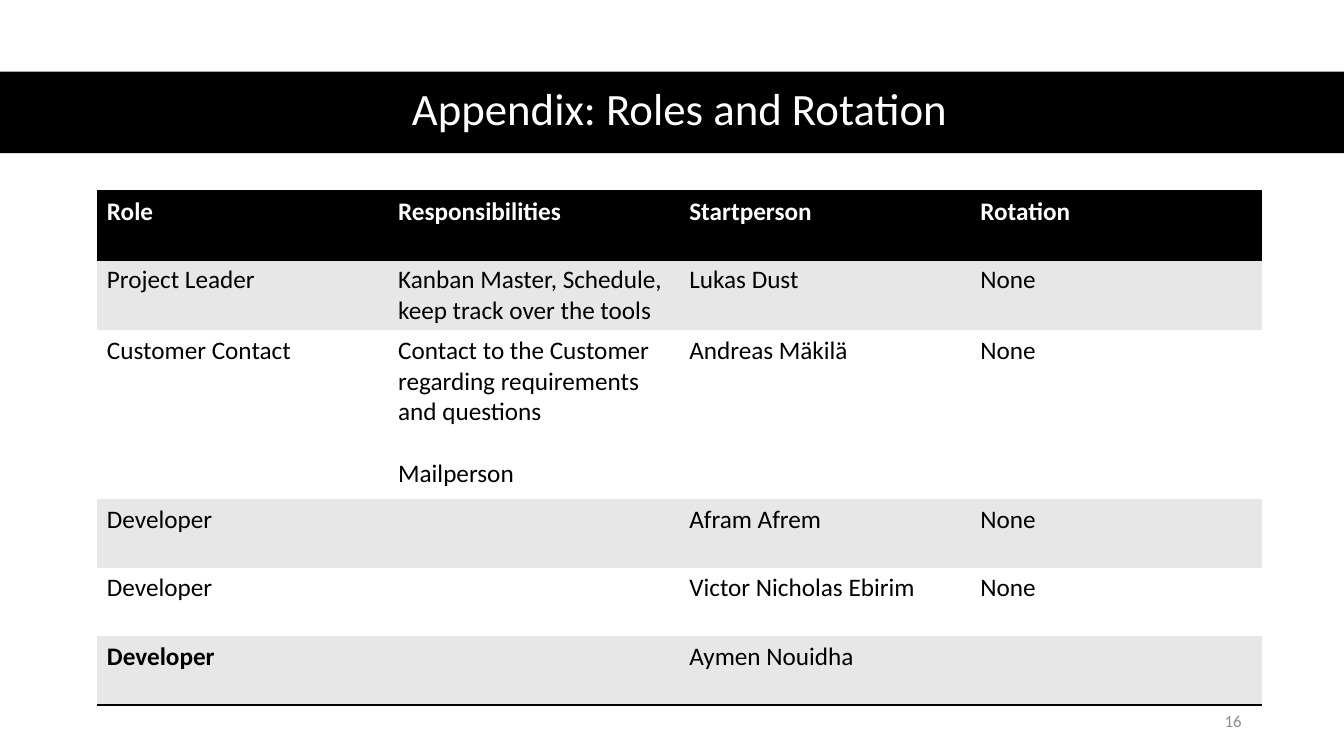
"""Build the roles and rotation appendix slide."""
from lxml import etree
from pptx import Presentation
from pptx import util as u
from pptx.dml.color import RGBColor
from pptx.enum import shapes, text
from pptx.oxml import ns

COLORS = {"black": "000000", "white": "FFFFFF", "stripe": "E7E7E7", "grey": "8C8C8C"}
COLS, ROWS = 96, 54
HEADER = ["Role", "Responsibilities", "Startperson", "Rotation"]
ROLES = [
    ["Project Leader", "Kanban Master, Schedule, keep track over the tools", "Lukas Dust", "None"],
    ["Customer Contact",
     "Contact to the Customer regarding requirements and questions\nMailperson",
     "Andreas Mäkilä", "None"],
    ["Developer", "", "Afram Afrem", "None"],
    ["Developer", "", "Victor Nicholas Ebirim", "None"],
    ["Developer", "", "Aymen Nouidha", ""],
]
ROW_HEIGHTS = [4.9, 4.9, 12.05, 4.9, 4.9, 4.9]


def color(name):
    return RGBColor.from_string(COLORS[name])


def write(tf, content, size=18, fill="black", bold=False, align=text.PP_ALIGN.LEFT,
          leading=None, gap=0):
    tf.word_wrap = True
    for i, line in enumerate(content.split("\n")):
        p = tf.add_paragraph() if i else tf.paragraphs[0]
        p.alignment, p.line_spacing = align, leading
        if i:
            p.space_before = u.Pt(gap)
        p.font.size = u.Pt(size)
        if line:
            r = p.add_run()
            r.text = line
            r.font.name, r.font.size, r.font.bold = "Calibri", u.Pt(size), bold
            r.font.color.rgb = color(fill)


def set_borders(cell, ruled):
    tc_pr = cell._tc.get_or_add_tcPr()
    for i, side in enumerate("LRTB"):
        ln = etree.Element(ns.qn(f"a:ln{side}"), w=str(u.Pt(2 if side in ruled else 0)))
        if side in ruled:
            fill = etree.SubElement(ln, ns.qn("a:solidFill"))
            etree.SubElement(fill, ns.qn("a:srgbClr"), val=COLORS["black"])
        else:
            etree.SubElement(ln, ns.qn("a:noFill"))
        tc_pr.insert(i, ln)


class Deck:
    """Hold the slide grid and the current slide."""

    def __init__(self):
        self.prs = Presentation()
        self.prs.slide_width, self.prs.slide_height = u.Inches(13.33), u.Inches(7.5)
        self.s = self.prs.slides.add_slide(self.prs.slide_layouts[5])

    def x(self, cols):
        return round(self.prs.slide_width * cols / COLS)

    def y(self, rows):
        return round(self.prs.slide_height * rows / ROWS)

    def box(self, x, y, w, h):
        return self.x(x), self.y(y), self.x(w), self.y(h)

    def title(self, content, *area):
        sp = self.s.shapes.title
        sp.left, sp.top, sp.width, sp.height = self.box(*area)
        sp.text_frame.vertical_anchor = text.MSO_ANCHOR.MIDDLE
        write(sp.text_frame, content, size=32, fill="white",
              align=text.PP_ALIGN.CENTER, leading=0.9)

    def band(self, *area):
        sp = self.s.shapes.add_shape(shapes.MSO_SHAPE.RECTANGLE, *self.box(*area))
        sp.shadow.inherit = False
        sp.fill.solid()
        sp.fill.fore_color.rgb = color("black")
        sp.line.fill.background()
        self.s.shapes.title.element.addprevious(sp.element)

    def number(self, content, *area):
        tf = self.s.shapes.add_textbox(*self.box(*area)).text_frame
        tf.vertical_anchor = text.MSO_ANCHOR.MIDDLE
        write(tf, content, size=12, fill="grey", align=text.PP_ALIGN.RIGHT)

    def table(self, rows, heights, x, y, w):
        frame = self.s.shapes.add_table(len(rows), len(rows[0]),
                                        *self.box(x, y, w, sum(heights)))
        tbl = frame.table
        tbl.horz_banding = False
        last = len(rows) - 1
        for i, (values, height) in enumerate(zip(rows, heights)):
            tbl.rows[i].height = self.y(height)
            fill = "black" if i == 0 else "stripe" if i % 2 else "white"
            ruled = "TB" if i == 0 else "B" if i == last else ""
            for j, value in enumerate(values):
                cell = tbl.cell(i, j)
                cell.fill.solid()
                cell.fill.fore_color.rgb = color(fill)
                set_borders(cell, ruled)
                write(cell.text_frame, value, fill="black" if i else "white",
                      bold=i == 0 or (i == last and j == 0), gap=22)


deck = Deck()
deck.title("Appendix: Roles and Rotation", 4.4, 5.04, 88.3, 5.83)
deck.band(0, 5.11, COLS, 5.83)
deck.number("16", 67.8, 50.04, 21.6, 2.88)
deck.table([HEADER] + ROLES, ROW_HEIGHTS, 6.92, 13.66, 83.2)
deck.prs.save("out.pptx")
